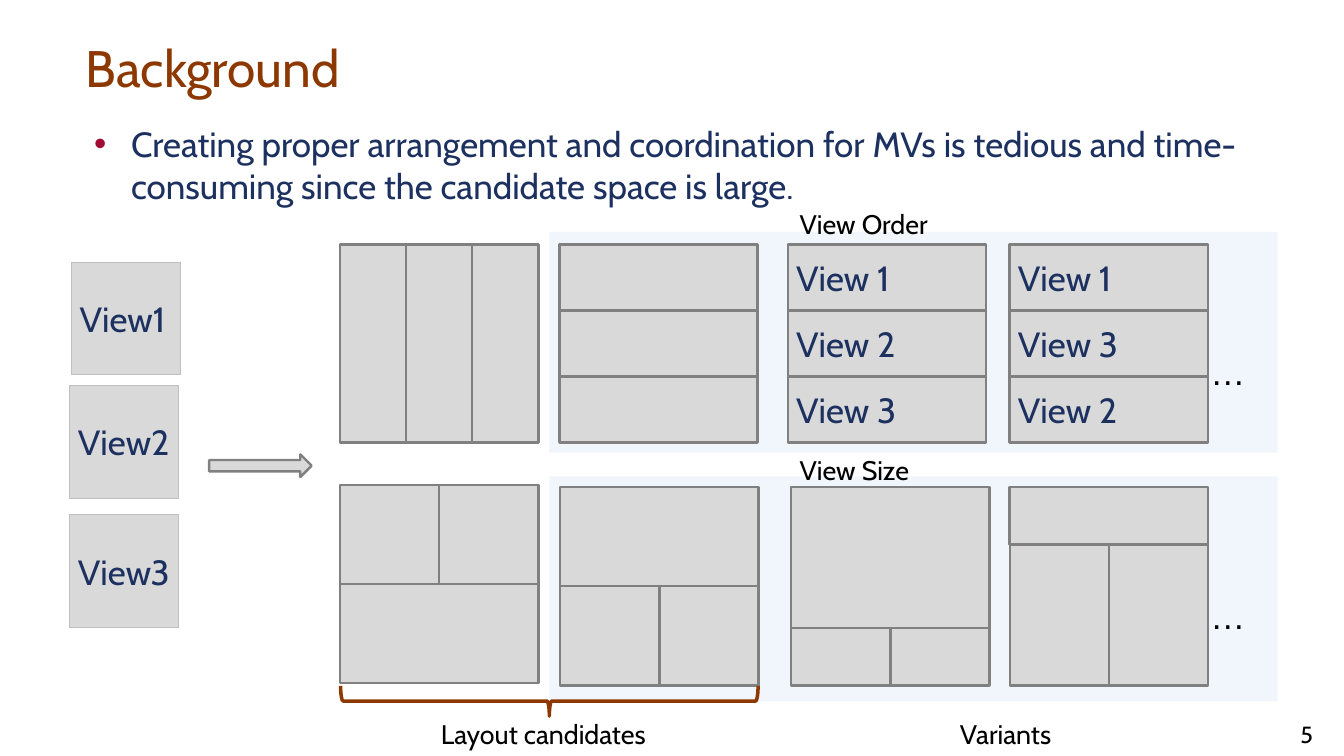
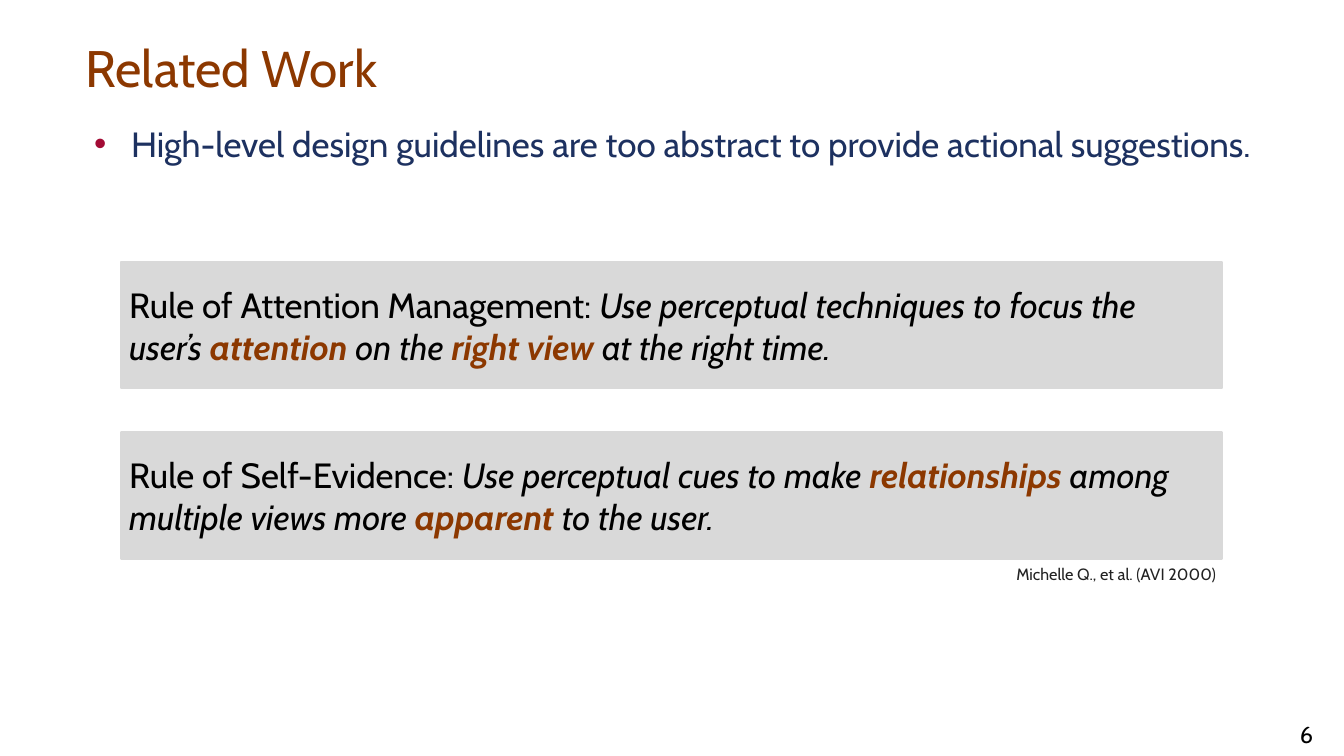
"""Build two slides on multiple-view layouts and design guidelines."""
from lxml.etree import SubElement
from pptx import Presentation
from pptx.dml.color import RGBColor
from pptx.enum.shapes import MSO_SHAPE as Shape
from pptx.enum.text import MSO_ANCHOR as Anchor, MSO_AUTO_SIZE as Fit, PP_ALIGN as Align
from pptx.oxml.ns import qn
from pptx.util import Inches, Pt

NAVY = RGBColor(0x1D, 0x31, 0x60)
RUST = RGBColor(0x8C, 0x38, 0x00)
WINE = RGBColor(0xA3, 0x0B, 0x35)
PALE = RGBColor(0xCE, 0xE3, 0xF5)
LIGHT = RGBColor(0xD9, 0xD9, 0xD9)
SILVER = RGBColor(0xBF, 0xBF, 0xBF)
GRAY = RGBColor(0x80, 0x80, 0x80)
INK = RGBColor(0x22, 0x22, 0x22)
BLACK = RGBColor(0, 0, 0)
FONT = "Cabin"
SIDE = 2.36
KEY = {"color": RUST, "bold": True, "italic": True}
SAID = {"italic": True}


def write(frame, runs, size=30, color=BLACK, font=FONT, align=Align.LEFT,
          anchor=Anchor.TOP, pad=(0.1, 0.05)):
    frame.word_wrap = True
    frame.auto_size = Fit.NONE
    frame.vertical_anchor = anchor
    frame.margin_left = frame.margin_right = Inches(pad[0])
    frame.margin_top = frame.margin_bottom = Inches(pad[1])
    para = frame.paragraphs[0]
    para.alignment = align
    para.space_before = Pt(0)
    for text, style in [(runs, {})] if isinstance(runs, str) else runs:
        run = para.add_run()
        run.text = text
        run.font.name = font
        run.font.size = Pt(size)
        run.font.bold = style.get("bold", False)
        run.font.italic = style.get("italic", False)
        run.font.color.rgb = style.get("color", color)
    return para


def place(shape, box):
    shape.left, shape.top, shape.width, shape.height = map(Inches, box)


def draw(slide, box, kind=Shape.RECTANGLE, fill=LIGHT, line=GRAY, weight=2):
    shape = slide.shapes.add_shape(kind, *map(Inches, box))
    shape.shadow.inherit = False
    if fill is None:
        shape.fill.background()
    else:
        shape.fill.solid()
        shape.fill.fore_color.rgb = fill
    if line is None:
        shape.line.fill.background()
    else:
        shape.line.color.rgb = line
        shape.line.width = Pt(weight)
    return shape


def label(slide, text, box, **style):
    write(slide.shapes.add_textbox(*map(Inches, box)).text_frame, text, **style)


def bullet(para):
    props = para._p.get_or_add_pPr()
    props.set("marL", str(Inches(0.5)))
    props.set("indent", str(Inches(-0.44)))
    tint = SubElement(props, qn("a:buClr"))
    SubElement(tint, qn("a:srgbClr"), val=str(WINE))
    SubElement(props, qn("a:buFont"), typeface="Arial")
    SubElement(props, qn("a:buChar"), char="•")


def start(deck, title, point, number, width):
    slide = deck.slides.add_slide(deck.slide_layouts[1])
    head, body = slide.placeholders
    place(head, (0.92, 0.29, 14.17, 0.92))
    write(head.text_frame, title, size=44, color=RUST, anchor=Anchor.BOTTOM)
    place(body, (0.92, 1.39, width, 6.61))
    bullet(write(body.text_frame, point, color=NAVY, pad=(0.14, 0.07)))
    label(slide, str(number), (15.11, 8.53, 0.89, 0.44), size=20, align=Align.CENTER)
    return slide


def band(slide, top, height):
    shape = draw(slide, (6.54, top, 8.67, height), fill=PALE, line=None)
    tint = shape.fill._xPr.find(qn("a:solidFill"))[0]
    SubElement(tint, qn("a:alpha"), val="29000")
    label(slide, "…", (14.31, top + 1.36, 0.73, 0.61), font="Arial")


def view(slide, name, box, **style):
    shape = draw(slide, box, **style)
    if name:
        write(shape.text_frame, name, color=NAVY, anchor=Anchor.MIDDLE)


def mosaic(slide, left, top, rows):
    """Fill a square with rows, each given as a height share and its view names."""
    for share, names in rows:
        wide, high = SIDE / len(names), SIDE * share
        for col, name in enumerate(names):
            view(slide, name, (left + col * wide, top, wide, high))
        top += high


def stack(*names):
    return [(1 / 3, [name]) for name in names]


def background(deck):
    slide = start(deck, "Background",
                  "Creating proper arrangement and coordination for MVs is tedious and "
                  "time-consuming since the candidate space is large.", 5, 14.17)
    band(slide, 2.76, 2.63)
    band(slide, 5.67, 2.68)
    one, two = [""], ["", ""]
    for left, top, rows in (
            (4.05, 2.91, [(1, ["", "", ""])]),
            (6.66, 2.91, stack("", "", "")),
            (9.38, 2.91, stack("View 1", "View 2", "View 3")),
            (12.02, 2.91, stack("View 1", "View 3", "View 2")),
            (4.05, 5.77, [(0.5, two), (0.5, one)]),
            (6.67, 5.8, [(0.5, one), (0.5, two)]),
            (9.42, 5.8, [(0.71, one), (0.29, two)]),
            (12.02, 5.8, [(0.29, one), (0.71, two)])):
        mosaic(slide, left, top, rows)
    for name, left, top in (("View1", 0.85, 3.12), ("View2", 0.83, 4.59),
                            ("View3", 0.83, 6.13)):
        view(slide, name, (left, top, 1.3, 1.34), line=SILVER, weight=0.75)
    draw(slide, (2.49, 5.41, 1.22, 0.27), kind=Shape.RIGHT_ARROW)
    brace = draw(slide, (6.36, 5.86, 0.36, 4.97), kind=Shape.LEFT_BRACE,
                 fill=None, line=RUST, weight=3)
    brace.rotation = 270
    for text, left, top, width in (("Layout candidates", 5.15, 8.49, 2.78),
                                   ("Variants", 11.33, 8.49, 1.36),
                                   ("View Order", 9.42, 2.42, 1.79),
                                   ("View Size", 9.42, 5.35, 1.55)):
        label(slide, text, (left, top, width, 0.49), size=23)


def related(deck):
    slide = start(deck, "Related Work",
                  "High-level design guidelines are too abstract to provide "
                  "actional suggestions.", 6, 14.63)
    focus = [("Rule of Attention Management: ", {}),
             ("Use perceptual techniques to focus the user’s ", SAID),
             ("attention", KEY), (" on the ", SAID),
             ("right view ", KEY), ("at the right time.", SAID)]
    clear = [("Rule of Self-Evidence: ", {}),
             ("Use perceptual cues to make ", SAID),
             ("relationships", KEY), (" among multiple views more ", SAID),
             ("apparent", KEY), (" to the user.", SAID)]
    for top, rule in ((3.12, focus), (5.15, clear)):
        panel = draw(slide, (1.44, top, 13.11, 1.5), line=LIGHT)
        write(panel.text_frame, rule, anchor=Anchor.MIDDLE)
    label(slide, "Michelle Q., et al. (AVI 2000)", (12, 6.67, 3.25, 0.34),
          size=14, color=INK)


def main():
    deck = Presentation()
    deck.slide_width, deck.slide_height = Inches(16), Inches(9)
    background(deck)
    related(deck)
    deck.save("out.pptx")


if __name__ == "__main__":
    main()
